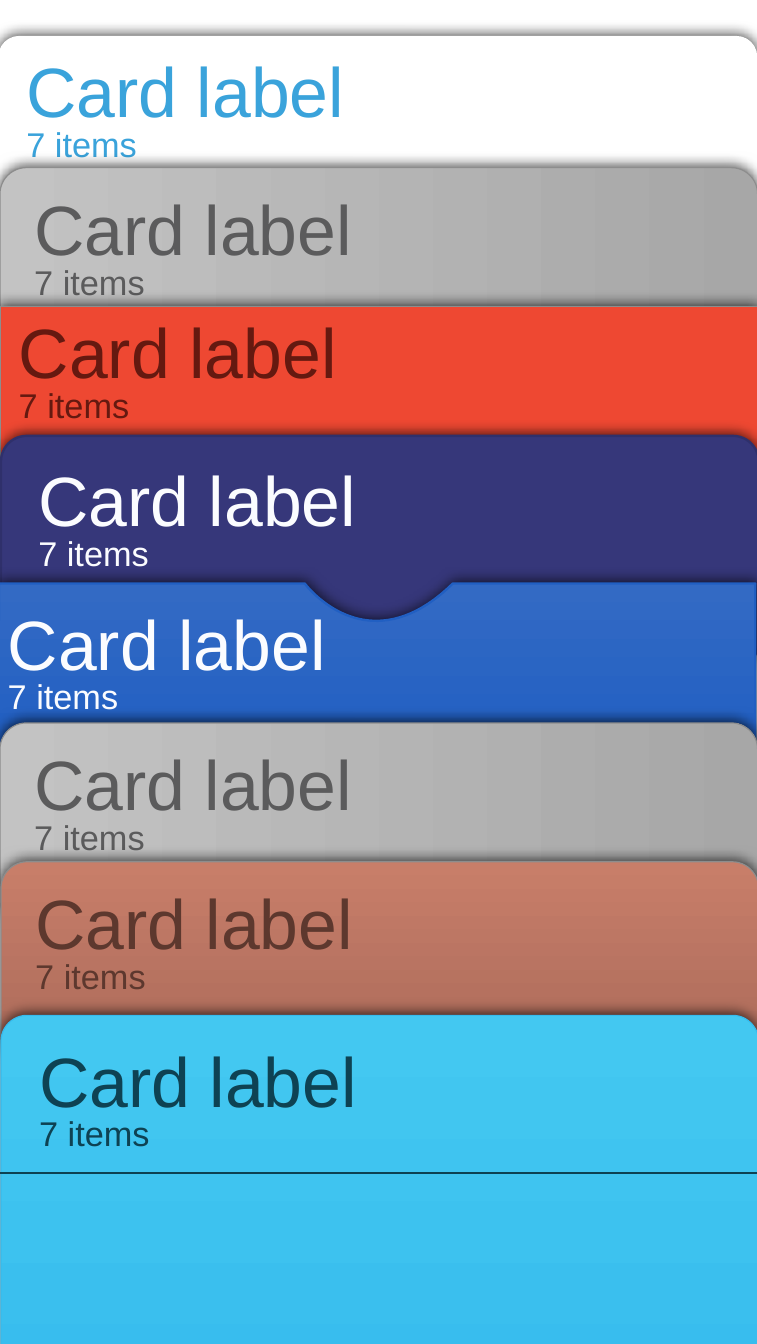
import pptx
import pptx.util
import pptx.dml.color
import pptx.enum.shapes
import pptx.enum.text
import pptx.oxml
import pptx.oxml.ns

Cm, Pt = pptx.util.Cm, pptx.util.Pt
RGB = pptx.dml.color.RGBColor.from_string
ROUND = pptx.enum.shapes.MSO_SHAPE.ROUNDED_RECTANGLE
ANCHOR = pptx.enum.text.MSO_ANCHOR
LEFT = pptx.enum.text.PP_ALIGN.LEFT
WIDE = 22.6
SHADE = (
    f'<a:outerShdw {pptx.oxml.ns.nsdecls("a")} blurRad="{Pt(11)}" dist="{Pt(2)}"'
    ' dir="16200000" algn="b" rotWithShape="0">'
    '<a:srgbClr val="000000"><a:alpha val="67000"/></a:srgbClr></a:outerShdw>'
)


class Theme:
    font = "Arial"
    title, count = 59, 29
    rule = "0D4253"
    # fill stops, gradient angle, outline, outline width, text
    white = (["FFFFFF"], 0, "FFFFFF", 1, "3AA3DB")
    gray = (["C3C3C3", "A7A7A7"], 0, "8D8D8D", 1, "5B5B5C")
    red = (["EE4832"], 0, "8D8D8D", 1, "651910")
    navy = (["36377A"], 0, "2F306B", 2, "FBFCFF")
    blue = (["336AC4", "215FC2"], 270, "215FC2", 2, "FBFCFF")
    clay = (["C87E69", "AA6A5A"], 270, "8D8D8D", 1, "5D382E")
    sky = (["43C8F1", "36BBED"], 270, "36BBED", 1, "0E4253")


def notch(shapes):
    """Add the card whose top edge dips in a cubic curve."""
    top, base = 17.4, 22.35
    start, pull, end = (9.09, top), (10.95, 19.91), (13.51, top)
    curve = []
    for step in range(41):
        t = step / 40
        a, b, c = (1 - t) ** 3 + 3 * t * (1 - t) ** 2, 3 * t * t * (1 - t), t ** 3
        curve.append([a * p + b * q + c * r for p, q, r in zip(start, pull, end)])
    points = curve + [(22.53, top), (22.53, base), (-0.05, base)]
    pen = shapes.build_freeform(Cm(-0.03), Cm(top))
    pen.add_line_segments([(Cm(x), Cm(y)) for x, y in points], close=True)
    return pen.convert_to_shape()


def dress(card, style, inset, anchor):
    """Give a card its fill, outline, shadow and label."""
    stops, angle, edge, width, ink = style
    if len(stops) == 1:
        card.fill.solid()
        card.fill.fore_color.rgb = RGB(stops[0])
    else:
        card.fill.gradient()
        card.fill.gradient_angle = angle
        for stop, color in zip(card.fill.gradient_stops, stops):
            stop.color.rgb = RGB(color)
    card.line.color.rgb = RGB(edge)
    card.line.width = Pt(width)
    card.shadow.inherit = False
    effects = card._element.spPr.find(pptx.oxml.ns.qn("a:effectLst"))
    effects.append(pptx.oxml.parse_xml(SHADE))

    frame = card.text_frame
    frame.text = "Card label\n7 items"
    frame.word_wrap = True
    frame.vertical_anchor = anchor
    frame.margin_left = frame.margin_right = Cm(inset)
    frame.margin_top = frame.margin_bottom = Cm(inset)
    for para, size in zip(frame.paragraphs, (Theme.title, Theme.count)):
        para.alignment = LEFT
        para.line_spacing = 0.8
        font = para.runs[0].font
        font.name, font.size = Theme.font, Pt(size)
        font.color.rgb = RGB(ink)


deck = pptx.Presentation()
deck.slide_width, deck.slide_height = Cm(22.58), Cm(40.08)
slide = deck.slides.add_slide(deck.slide_layouts[6])
shapes = slide.shapes

# left, top, height, corner, inset, style
back = [
    (-0.03, 1.09, 5.46, 0.11, 0.64, Theme.white),
    (0, 5, 6.05, 0.13, 0.79, Theme.gray),
    (0, 9.14, 5.44, 0, 0.56, Theme.red),
    (0.03, 13, 6.91, 0.11, 0.89, Theme.navy),
]
front = [
    (0, 21.56, 6.05, 0.13, 0.79, Theme.gray),
    (0.03, 25.7, 6.05, 0.13, 0.79, Theme.clay),
    (0.03, 30.28, 12.9, 0.06, 0.91, Theme.sky),
]
for group in (back, front):
    if group is front:
        dress(notch(shapes), Theme.blue, 0.28, ANCHOR.MIDDLE)
    for left, top, height, corner, inset, style in group:
        card = shapes.add_shape(ROUND, Cm(left), Cm(top), Cm(WIDE), Cm(height))
        card.adjustments[0] = corner
        dress(card, style, inset, ANCHOR.TOP)

rule = shapes.add_connector(
    pptx.enum.shapes.MSO_CONNECTOR.STRAIGHT, Cm(0), Cm(34.98), Cm(WIDE), Cm(34.98)
)
rule.line.color.rgb = RGB(Theme.rule)
rule.line.width = Pt(1)
rule._element.spPr.append(pptx.oxml.parse_xml(f'<a:effectLst {pptx.oxml.ns.nsdecls("a")}/>'))

deck.save("out.pptx")
